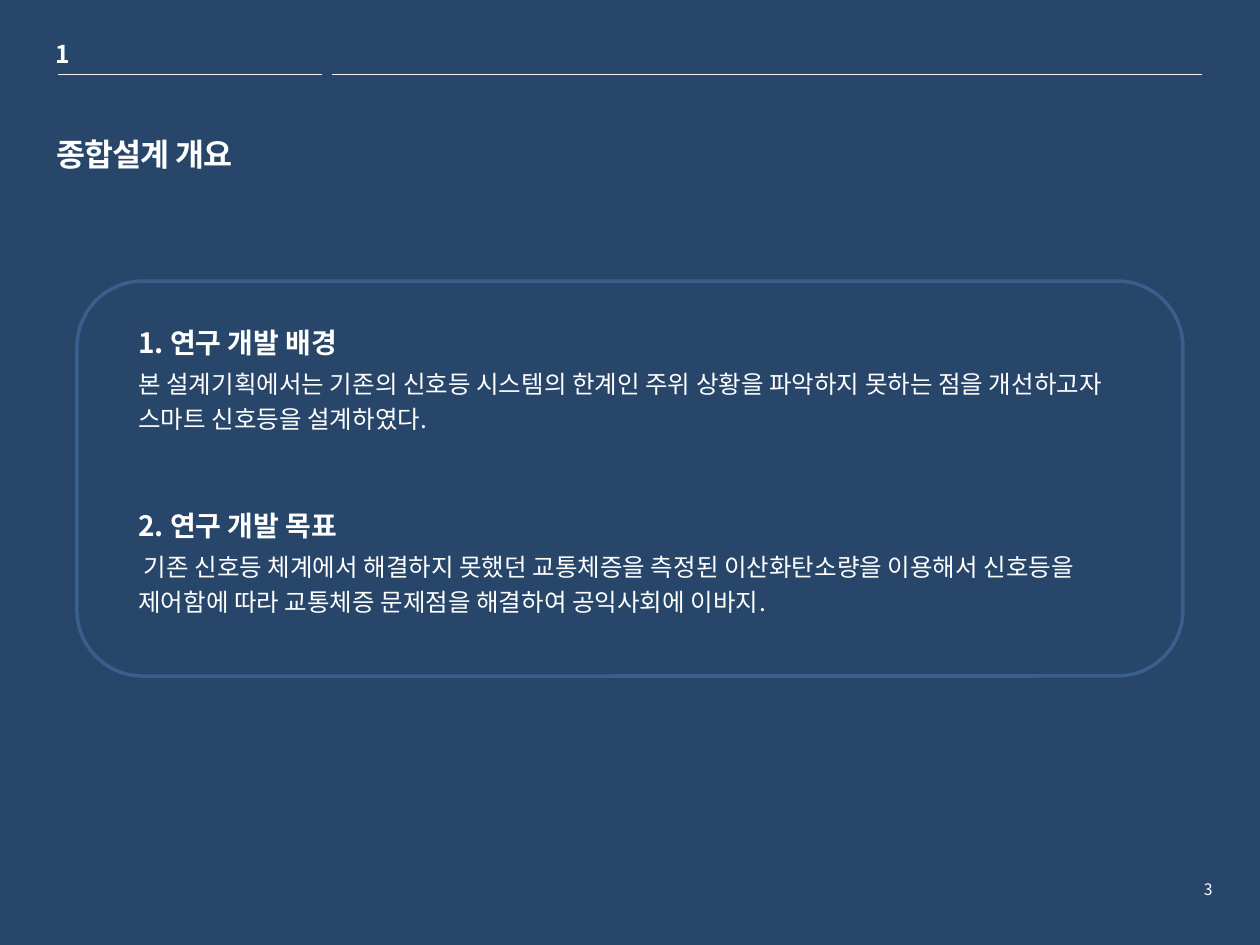
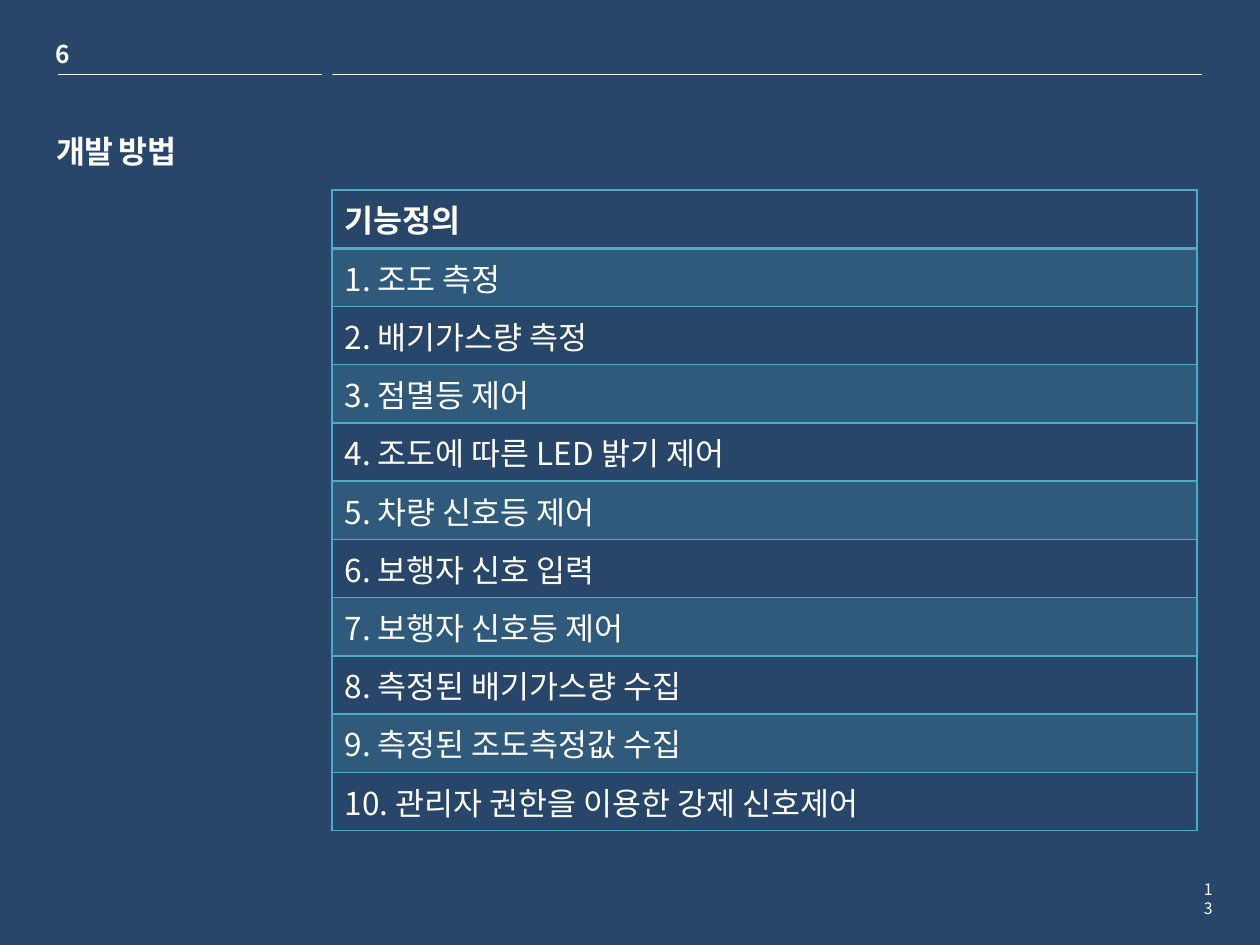
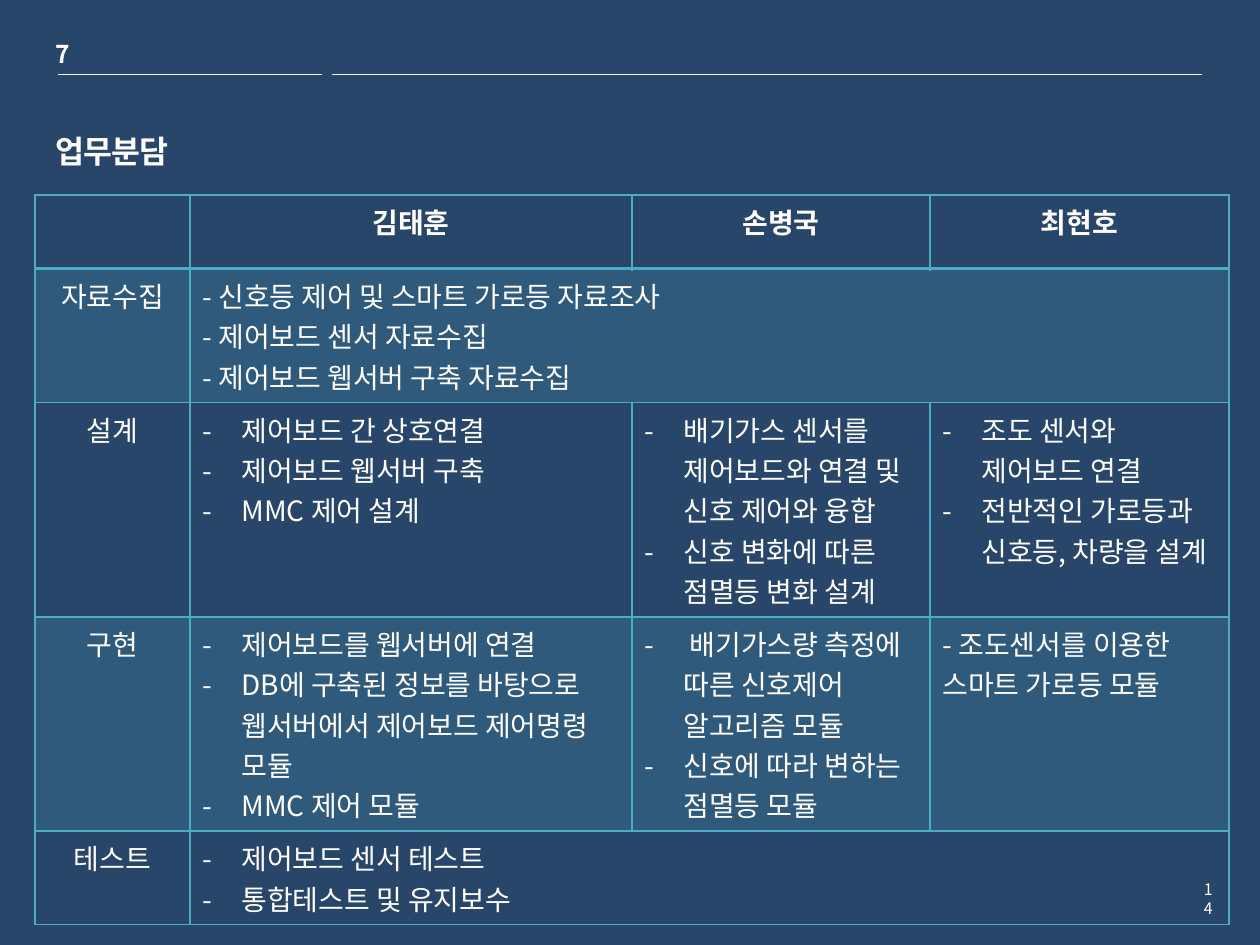
from lxml import etree
from pptx import Presentation
from pptx.dml.color import RGBColor
from pptx.enum.shapes import MSO_CONNECTOR, MSO_SHAPE
from pptx.enum.text import MSO_ANCHOR, MSO_AUTO_SIZE, PP_ALIGN
from pptx.oxml.ns import qn
from pptx.util import Emu, Pt

NAVY = RGBColor(0x28, 0x46, 0x6A)
WHITE = RGBColor(0xFF, 0xFF, 0xFF)
RULE_GREY = RGBColor(0xF2, 0xF2, 0xF2)
FRAME_BLUE = RGBColor(0x3A, 0x5F, 0x8C)
TEAL = RGBColor(0x4B, 0xAC, 0xC6)
FONT = "Noto Sans CJK KR"
LEFT, CENTER, RIGHT = PP_ALIGN.LEFT, PP_ALIGN.CENTER, PP_ALIGN.RIGHT
TOP = MSO_ANCHOR.TOP
NO_AUTOFIT = MSO_AUTO_SIZE.NONE
RECT, ROUNDED = MSO_SHAPE.RECTANGLE, MSO_SHAPE.ROUNDED_RECTANGLE
STRAIGHT = MSO_CONNECTOR.STRAIGHT
TITLE_ONLY = 5
EMU_PER_PX = 914400 / 126
SLIDE_BOX = (0, 0, 1260, 945)
HANG = 39

OVERVIEW = [
    ("1. 연구 개발 배경",
     "본 설계기획에서는 기존의 신호등 시스템의 한계인 주위 상황을 파악하지 못하는 점을 "
     "개선하고자 스마트 신호등을 설계하였다."),
    ("2. 연구 개발 목표",
     " 기존 신호등 체계에서 해결하지 못했던 교통체증을 측정된 이산화탄소량을 이용해서 "
     "신호등을 제어함에 따라 교통체증 문제점을 해결하여 공익사회에 이바지."),
]
FUNCTIONS = [
    "조도 측정", "배기가스량 측정", "점멸등 제어", "조도에 따른 LED 밝기 제어",
    "차량 신호등 제어", "보행자 신호 입력", "보행자 신호등 제어",
    "측정된 배기가스량 수집", "측정된 조도측정값 수집",
    "관리자 권한을 이용한 강제 신호제어",
]
DUTIES = [
    ["", "김태훈", "손병국", "최현호"],
    ["자료수집",
     "- 신호등 제어 및 스마트 가로등 자료조사\n- 제어보드 센서 자료수집\n"
     "- 제어보드 웹서버 구축 자료수집"],
    ["설계",
     ["제어보드 간 상호연결", "제어보드 웹서버 구축", "MMC 제어 설계"],
     ["배기가스 센서를 제어보드와 연결 및 신호 제어와 융합",
      "신호 변화에 따른 점멸등 변화 설계"],
     ["조도 센서와 제어보드 연결", "전반적인 가로등과 신호등, 차량을 설계"]],
    ["구현",
     ["제어보드를 웹서버에 연결",
      "DB에 구축된 정보를 바탕으로 웹서버에서 제어보드 제어명령 모듈",
      "MMC 제어 모듈"],
     [" 배기가스량 측정에 따른 신호제어 알고리즘 모듈",
      "신호에 따라 변하는 점멸등 모듈"],
     "- 조도센서를 이용한 스마트 가로등 모듈"],
    ["테스트", ["제어보드 센서 테스트", "통합테스트 및 유지보수"]],
]


def px(length):
    """Turn pixels into EMU."""
    return Emu(round(length * EMU_PER_PX))


def add_run(paragraph, text, size, bold=False, spacing=0):
    """Add one white unkerned run, with the font set for Latin and Korean."""
    run = paragraph.add_run()
    run.text = text
    font = run.font
    font.size, font.bold, font.name = Pt(size), bold, FONT
    font.color.rgb = WHITE
    properties = run._r.get_or_add_rPr()
    properties.set("kern", "0")
    etree.SubElement(properties, qn("a:ea"), typeface=FONT)
    if spacing:
        properties.set("spc", str(spacing))


def add_label(slide, box, text, size, align=LEFT, wrap=False, **style):
    """Add a text box that holds one line."""
    frame = slide.shapes.add_textbox(*map(px, box)).text_frame
    frame.word_wrap = wrap
    frame.paragraphs[0].alignment = align
    add_run(frame.paragraphs[0], text, size, **style)


def add_panel(slide, box, kind, fill=None, line=None):
    """Add a flat preset shape with a fill or an outline."""
    panel = slide.shapes.add_shape(kind, *map(px, box))
    panel.shadow.inherit = False
    if fill is None:
        panel.fill.background()
    else:
        panel.fill.solid()
        panel.fill.fore_color.rgb = fill
    if line is None:
        panel.line.fill.background()
    else:
        panel.line.color.rgb = line
        panel.line.width = Pt(2)


def add_rule(slide, left, right, y):
    """Add a thin horizontal header rule."""
    rule = slide.shapes.add_connector(STRAIGHT, px(left), px(y), px(right), px(y))
    rule.line.color.rgb = RULE_GREY
    rule.line.width = Pt(0.25)
    etree.SubElement(rule._element.spPr, qn("a:effectLst"))


def start_slide(prs, section, page, title, title_box):
    """Add a slide with backdrop, section number, rules, page number and title."""
    slide = prs.slides.add_slide(prs.slide_layouts[TITLE_ONLY])
    add_panel(slide, SLIDE_BOX, RECT, fill=NAVY)
    add_label(slide, (43, 33, 39, 43), section, 14, bold=True, spacing=-50)
    for left, right in ((58, 322), (332, 1202)):
        add_rule(slide, left, right, 74)
    add_label(slide, (1190, 874, 35, 32), page, 9, align=RIGHT, wrap=True)

    heading = slide.shapes.title
    heading.left, heading.top, heading.width, heading.height = map(px, title_box)
    frame = heading.text_frame
    frame.auto_size, frame.vertical_anchor = NO_AUTOFIT, TOP
    frame.paragraphs[0].alignment = LEFT
    add_run(frame.paragraphs[0], title, 18, bold=True, spacing=-50)
    heading.element.getparent().append(heading.element)
    return slide


def add_overview(slide, box):
    """Fill a rounded frame with headed paragraphs."""
    left, top, width, height = box
    add_panel(slide, box, ROUNDED, line=FRAME_BLUE)
    text_box = (left + 49, top + 38, width - 98, height - 87)
    frame = slide.shapes.add_textbox(*map(px, text_box)).text_frame
    frame.word_wrap = True
    for index, (heading, body) in enumerate(OVERVIEW):
        head = frame.add_paragraph() if index else frame.paragraphs[0]
        head.space_before = Pt(43 if index else 0)
        add_run(head, heading, 16, bold=True)
        detail = frame.add_paragraph()
        detail.space_before = Pt(2.3)
        detail.line_spacing = 1.2
        add_run(detail, body, 14)


def style_cell(cell, row):
    """Set the borders of a cell and the tint of odd rows."""
    properties = cell._tc.get_or_add_tcPr()
    widths = {"lnL": 1, "lnR": 1, "lnT": 2 if row == 1 else 1, "lnB": 1 if row else 2}
    for side, width in widths.items():
        border = etree.SubElement(properties, qn("a:" + side), w=str(Pt(width)))
        paint = etree.SubElement(border, qn("a:solidFill"))
        etree.SubElement(paint, qn("a:srgbClr"), val=str(TEAL))
    if row % 2:
        cell.fill.solid()
        cell.fill.fore_color.rgb = TEAL
        tint = properties.find(qn("a:solidFill")).find(qn("a:srgbClr"))
        etree.SubElement(tint, qn("a:alpha"), val="20000")
    else:
        cell.fill.background()


def write_cell(cell, content, size, bold, align):
    """Write plain lines from a string or dashed items from a list."""
    bulleted = isinstance(content, list)
    lines = content if bulleted else content.split("\n")
    frame = cell.text_frame
    for index, line in enumerate(lines):
        paragraph = frame.add_paragraph() if index else frame.paragraphs[0]
        paragraph.alignment = align
        if bulleted:
            properties = paragraph._p.get_or_add_pPr()
            properties.set("marL", str(px(HANG)))
            properties.set("indent", str(-px(HANG)))
            etree.SubElement(properties, qn("a:buFont"), typeface=FONT)
            etree.SubElement(properties, qn("a:buChar"), char="-")
        if line:
            add_run(paragraph, line, size, bold)


def add_grid(slide, left, top, columns, row_height, rows, size, centred=False):
    """Add a table in which the last cell of a short row spans the rest."""
    box = (left, top, sum(columns), row_height * len(rows))
    table = slide.shapes.add_table(len(rows), len(columns), *map(px, box)).table
    table.horz_banding = False
    for column, width in zip(table.columns, columns):
        column.width = px(width)
    for r, contents in enumerate(rows):
        table.rows[r].height = px(row_height)
        last = len(contents) - 1
        if len(contents) < len(columns):
            table.cell(r, last).merge(table.cell(r, len(columns) - 1))
        for c, content in enumerate(contents):
            align = CENTER if centred and (r == 0 or c == 0) else LEFT
            cell = table.cell(r, c)
            style_cell(cell, r)
            write_cell(cell, content, size, r == 0, align)


def main():
    """Build the three slides."""
    prs = Presentation()
    prs.slide_width, prs.slide_height = px(SLIDE_BOX[2]), px(SLIDE_BOX[3])

    overview = start_slide(prs, "1", "3", "종합설계 개요", (44, 129, 277, 203))
    add_overview(overview, (77, 281, 1106, 395))

    method = start_slide(prs, "6", "13", "개발 방법", (44, 126, 218, 49))
    numbered = [[f"{n}. {name}"] for n, name in enumerate(FUNCTIONS, 1)]
    add_grid(method, 332, 190, [865], 58, [["기능정의"]] + numbered, 18)

    duties = start_slide(prs, "7", "14", "업무분담", (43, 126, 248, 203))
    add_grid(duties, 35, 195, [155, 442, 298, 299], 74, DUTIES, 16, centred=True)

    prs.save("out.pptx")


if __name__ == "__main__":
    main()
